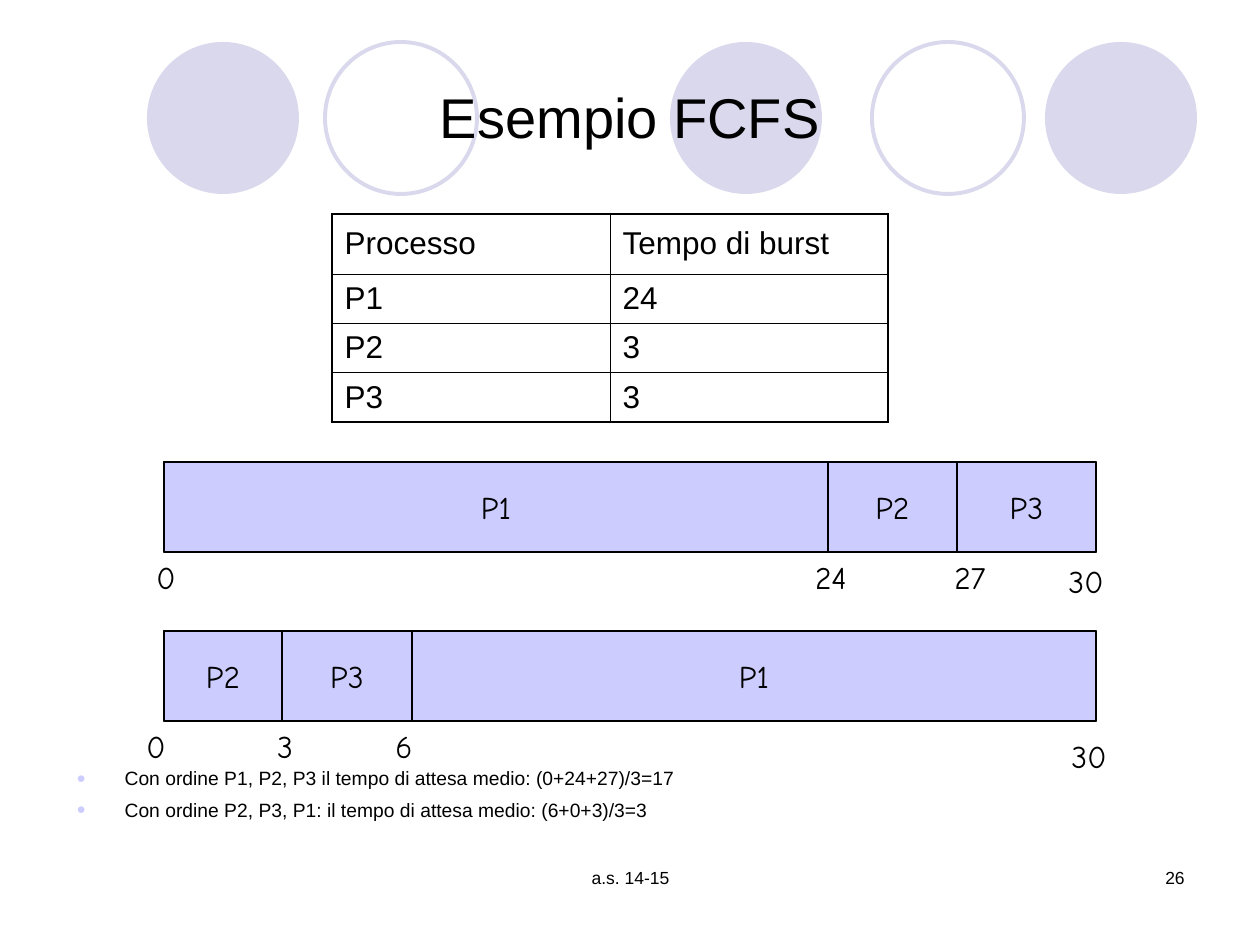
from pptx import Presentation
from pptx.dml.color import RGBColor
from pptx.enum.shapes import MSO_SHAPE
from pptx.enum.text import MSO_ANCHOR, MSO_AUTO_SIZE, PP_ALIGN
from pptx.oxml.ns import qn
from pptx.util import Pt
from lxml import etree

LEFT, CENTER, RIGHT = PP_ALIGN.LEFT, PP_ALIGN.CENTER, PP_ALIGN.RIGHT
TOP, MIDDLE = MSO_ANCHOR.TOP, MSO_ANCHOR.MIDDLE
RECTANGLE, OVAL = MSO_SHAPE.RECTANGLE, MSO_SHAPE.OVAL
NO_AUTOFIT = MSO_AUTO_SIZE.NONE

EMU_PER_PX = 914400 / 126
BLACK, LILAC, PALE = "000000", "CCCCFF", "D9D8EC"
SANS, COMIC = "Arial", "Comic Neue"


def px(length):
    return round(length * EMU_PER_PX)


def color(value):
    return RGBColor.from_string(value)


def place(shape, box):
    shape.left, shape.top, shape.width, shape.height = map(px, box)


def write(frame, text, size=18, font=SANS, align=LEFT, anchor=TOP,
          wrap=True, before=0):
    """Fill a text frame, one paragraph for each line of text."""
    frame.text = text
    frame.word_wrap = wrap
    frame.vertical_anchor = anchor
    for paragraph in frame.paragraphs:
        paragraph.alignment = align
        paragraph.space_before = Pt(before)
        paragraph.font.size = Pt(size)
        paragraph.font.name = font
        paragraph.font.color.rgb = color(BLACK)


def add_text(slide, box, text, **style):
    shape = slide.shapes.add_textbox(*map(px, box))
    write(shape.text_frame, text, **style)


def add_figure(slide, kind, box, fill=None, line=None, width=0.75):
    shape = slide.shapes.add_shape(kind, *map(px, box))
    shape.shadow.inherit = False
    if fill:
        shape.fill.solid()
        shape.fill.fore_color.rgb = color(fill)
    else:
        shape.fill.background()
    if line:
        shape.line.color.rgb = color(line)
        shape.line.width = Pt(width)
    else:
        shape.line.fill.background()
    return shape


def bring_to_front(slide, shape):
    slide.shapes.element.append(shape.element)


def add_header(slide, box, text):
    left, top, width, height = box
    # Decorative circles behind the title, alternately filled and outlined
    for offset, filled in ((84, True), (262, False), (607, True),
                           (809, False), (982, True)):
        circle = (left + offset, top + 4, 152, 152)
        if filled:
            add_figure(slide, OVAL, circle, fill=PALE)
        else:
            add_figure(slide, OVAL, circle, line=PALE, width=2.25)
    title = slide.shapes.title
    place(title, box)
    write(title.text_frame, text, size=32, align=CENTER, anchor=MIDDLE)
    title.text_frame.auto_size = NO_AUTOFIT
    bring_to_front(slide, title)


def set_borders(cell, widths):
    properties = cell._tc.get_or_add_tcPr()
    for index, (side, width) in enumerate(zip(("L", "R", "T", "B"), widths)):
        line = etree.Element(qn(f"a:ln{side}"), w=str(int(Pt(width))))
        fill = etree.SubElement(line, qn("a:solidFill"))
        etree.SubElement(fill, qn("a:srgbClr"), val=BLACK)
        properties.insert(index, line)


def add_burst_table(slide, box, rows):
    row_count, column_count = len(rows), len(rows[0])
    table = slide.shapes.add_table(row_count, column_count, *map(px, box)).table
    table.first_row = table.horz_banding = False
    header_height = 60
    body_height = (box[3] - header_height) / (row_count - 1)
    for r, values in enumerate(rows):
        table.rows[r].height = px(body_height if r else header_height)
        for c, value in enumerate(values):
            cell = table.cell(r, c)
            cell.fill.background()
            write(cell.text_frame, value, before=4.5)
            cell.vertical_anchor = MIDDLE
            outer = (c == 0, c == column_count - 1, r == 0, r == row_count - 1)
            set_borders(cell, [1.08 if edge else 0.45 for edge in outer])


def add_gantt(slide, box, segments, ticks):
    """Draw a bar of (name, width) segments over (time, centre, drop) ticks."""
    left, top, width, height = box
    add_figure(slide, RECTANGLE, box, fill=LILAC, line=BLACK)
    segment_left = left
    for name, segment_width in segments:
        segment = add_figure(slide, RECTANGLE,
                             (segment_left, top, segment_width, height),
                             fill=LILAC, line=BLACK)
        write(segment.text_frame, name, font=COMIC, align=CENTER,
              anchor=MIDDLE, wrap=False)
        segment_left += segment_width
    label_width = 60
    for time, centre, drop in ticks:
        label = (left + centre - label_width / 2, top + height + drop,
                 label_width, 50)
        add_text(slide, label, time, font=COMIC, align=CENTER, wrap=False)


def add_bullets(slide, box, lines):
    body = slide.placeholders[1]
    place(body, box)
    write(body.text_frame, "\n".join(lines), size=11, before=5)
    body.text_frame.auto_size = NO_AUTOFIT
    for paragraph in body.text_frame.paragraphs:
        properties = paragraph._p.get_or_add_pPr()
        properties.set("marL", str(px(48)))
        properties.set("indent", str(px(-48)))
        bullet_color = etree.SubElement(properties, qn("a:buClr"))
        etree.SubElement(bullet_color, qn("a:srgbClr"), val=LILAC)
        etree.SubElement(properties, qn("a:buSzPct"), val="80000")
        etree.SubElement(properties, qn("a:buFont"), typeface=SANS)
        etree.SubElement(properties, qn("a:buChar"), char="●")
        # The default run properties must close the list
        for defaults in properties.findall(qn("a:defRPr")):
            properties.append(defaults)
    bring_to_front(slide, body)


def add_footer(slide, box, text, number):
    left, top, width, height = box
    add_text(slide, (left, top, 399, height), text, size=10, align=CENTER)
    add_text(slide, (left + width - 294, top, 294, height), number,
             size=10, align=RIGHT)


def main():
    presentation = Presentation()
    presentation.slide_width, presentation.slide_height = px(1260), px(945)
    slide = presentation.slides.add_slide(presentation.slide_layouts[1])
    add_header(slide, (63, 38, 1134, 157), "Esempio FCFS")
    add_burst_table(slide, (332, 214, 556, 208),
                    [("Processo", "Tempo di burst"),
                     ("P1", "24"), ("P2", "3"), ("P3", "3")])
    add_gantt(slide, (164, 462, 932, 90),
              [("P1", 664), ("P2", 129), ("P3", 139)],
              [("0", 2, 0), ("24", 667, 0), ("27", 806, 0), ("30", 922, 4)])
    add_bullets(slide, (64, 760, 1134, 74), [
        "Con ordine P1, P2, P3 il tempo di attesa medio: (0+24+27)/3=17",
        "Con ordine P2, P3, P1: il tempo di attesa medio: (6+0+3)/3=3"])
    add_gantt(slide, (164, 631, 932, 90),
              [("P2", 118), ("P3", 130), ("P1", 684)],
              [("0", -8, 0), ("3", 121, 0), ("6", 240, 0), ("30", 925, 10)])
    add_footer(slide, (431, 861, 766, 63), "a.s. 14-15", "26")
    presentation.save("out.pptx")


if __name__ == "__main__":
    main()
